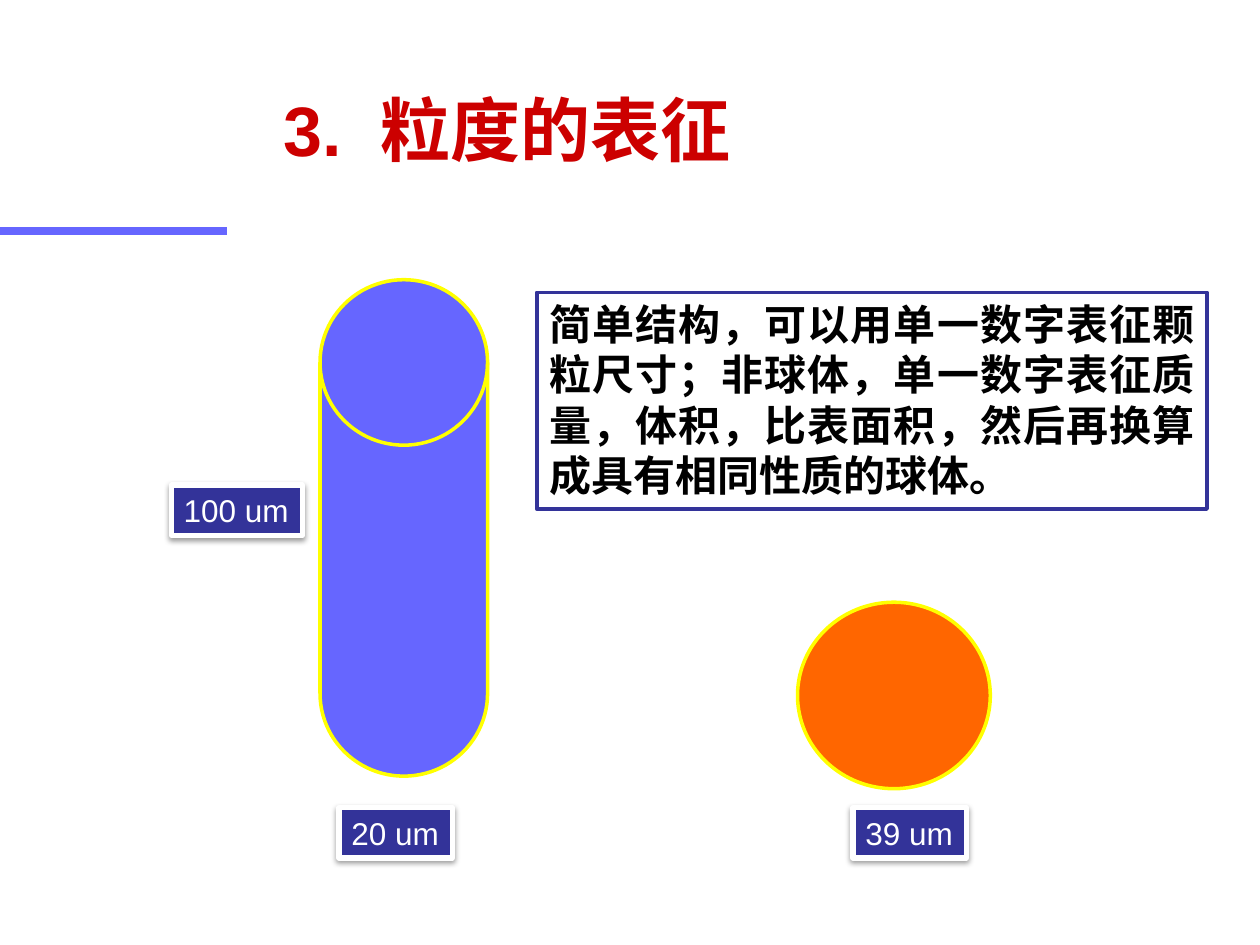
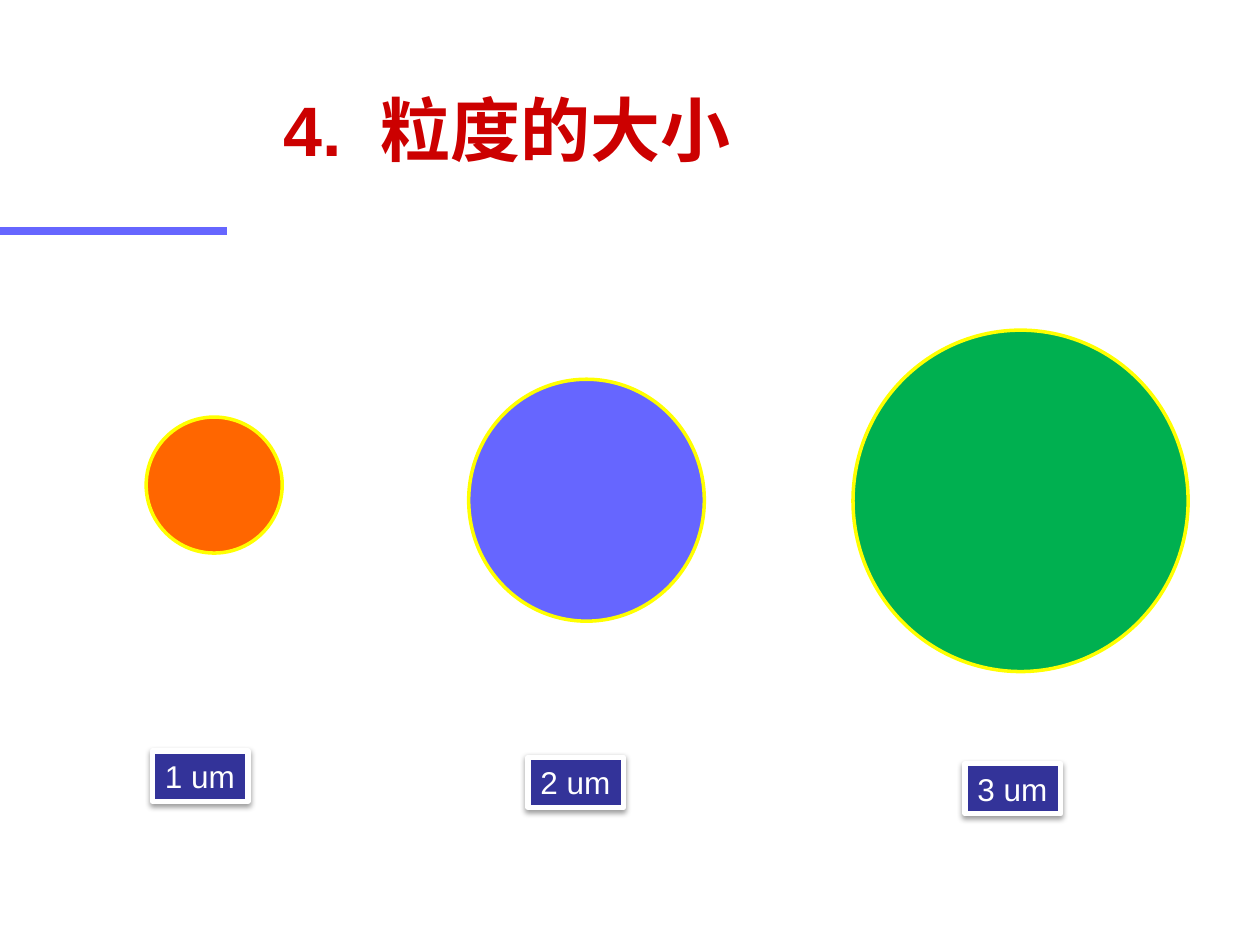
import pptx
import pptx.dml.color
import pptx.enum.shapes
import pptx.enum.text
import pptx.oxml
import pptx.oxml.ns
import pptx.util

SHAPE = pptx.enum.shapes.MSO_SHAPE
ALIGN = pptx.enum.text.PP_ALIGN
ANCHOR = pptx.enum.text.MSO_ANCHOR
AUTO_SIZE = pptx.enum.text.MSO_AUTO_SIZE

COLUMNS, ROWS = 100, 75
CELL = pptx.util.Inches(0.1)
COLORS = {
    "white": "FFFFFF", "black": "000000", "title": "CC0000", "navy": "333399",
    "violet": "6666FF", "orange": "FF6600", "green": "00B050", "yellow": "FFFF00",
}
TITLE_FONT = {"name": "Arial", "size": pptx.util.Pt(40), "bold": True}
LABEL_FONT = {"name": "Arial", "size": pptx.util.Pt(18), "bold": False}
BODY_FONT = {"name": "Arial", "size": pptx.util.Pt(24), "bold": True}
LABEL_HEIGHT = 4
SHADOW = (
    '<a:outerShdw xmlns:a="http://schemas.openxmlformats.org/drawingml/2006/main" '
    'blurRad="40000" dist="20000" dir="5400000" rotWithShape="0">'
    '<a:srgbClr val="000000"><a:alpha val="38000"/></a:srgbClr></a:outerShdw>'
)


def color(name):
    return pptx.dml.color.RGBColor.from_string(COLORS[name])


def cells(*counts):
    """Turn counts of grid cells into lengths."""
    return [round(count * CELL) for count in counts]


def set_format(target, values):
    for name, value in values.items():
        setattr(target, name, value)


def write(paragraph, text, font, color_name):
    run = paragraph.add_run()
    run.text = text
    set_format(run.font, font)
    run.font.color.rgb = color(color_name)
    return run


def add_figure(slide, preset, box, fill, line="yellow", line_width=2):
    shape = slide.shapes.add_shape(preset, *cells(*box))
    shape.shadow.inherit = False
    shape.fill.solid()
    shape.fill.fore_color.rgb = color(fill)
    shape.line.color.rgb = color(line)
    shape.line.width = pptx.util.Pt(line_width)
    return shape


def add_label(slide, text, left, top, width):
    shape = add_figure(slide, SHAPE.RECTANGLE, (left, top, width, LABEL_HEIGHT),
                       "navy", "white", 3)
    effects = shape.element.spPr.find(pptx.oxml.ns.qn("a:effectLst"))
    effects.append(pptx.oxml.parse_xml(SHADOW))
    set_format(shape.text_frame, {"word_wrap": False, "vertical_anchor": ANCHOR.TOP,
                                  "auto_size": AUTO_SIZE.SHAPE_TO_FIT_TEXT})
    paragraph = shape.text_frame.paragraphs[0]
    paragraph.alignment = ALIGN.LEFT
    write(paragraph, text, LABEL_FONT, "white")


def add_statement(slide, text, box):
    shape = add_figure(slide, SHAPE.RECTANGLE, box, "white", "navy")
    set_format(shape.text_frame, {"word_wrap": True, "vertical_anchor": ANCHOR.TOP,
                                  "auto_size": AUTO_SIZE.SHAPE_TO_FIT_TEXT})
    paragraph = shape.text_frame.paragraphs[0]
    paragraph.alignment = ALIGN.JUSTIFY
    write(paragraph, text, BODY_FONT, "black")


def add_rule(slide):
    left, top, right = cells(0, 18.3, 18)
    rule = slide.shapes.add_connector(
        pptx.enum.shapes.MSO_CONNECTOR.STRAIGHT, left, top, right, top)
    rule.line.color.rgb = color("violet")
    rule.line.width = pptx.util.Pt(4.5)
    properties = rule.element.spPr
    properties.append(properties.makeelement(pptx.oxml.ns.qn("a:effectLst"), {}))


def add_titled_slide(presentation, number, heading):
    slide = presentation.slides.add_slide(presentation.slide_layouts[5])
    add_rule(slide)
    title = slide.shapes.title
    set_format(title, dict(zip(("left", "top", "width", "height"),
                               cells(21.5, 7.6, 62.8, 6.4))))
    set_format(title.text_frame, {"word_wrap": True, "vertical_anchor": ANCHOR.BOTTOM,
                                  "auto_size": AUTO_SIZE.NONE})
    paragraph = title.text_frame.paragraphs[0]
    paragraph.alignment = ALIGN.LEFT
    write(paragraph, number, TITLE_FONT, "title")
    gap = write(paragraph, " ", TITLE_FONT, "title")
    gap.font._element.set("spc", "1100")  # widens the gap after the number
    write(paragraph, heading, TITLE_FONT, "title")
    return slide


def build_characterization(presentation):
    slide = add_titled_slide(presentation, "3.", "粒度的表征")
    add_figure(slide, SHAPE.FLOWCHART_MAGNETIC_DISK, (25.4, 22.2, 13.3, 39.4), "violet")
    add_figure(slide, SHAPE.FLOWCHART_CONNECTOR, (63.3, 47.8, 15.3, 14.8), "orange")
    for text, left, top, width in (("20 um", 26.9, 64.1, 9),
                                   ("100 um", 13.6, 38.5, 10.4),
                                   ("39 um", 67.7, 64.1, 9)):
        add_label(slide, text, left, top, width)
    add_statement(slide, "简单结构，可以用单一数字表征颗粒尺寸；非球体，单一数字表征质量，"
                         "体积，比表面积，然后再换算成具有相同性质的球体。",
                  (42.6, 23.2, 53.2, 17.2))


def build_sizes(presentation):
    slide = add_titled_slide(presentation, "4.", "粒度的大小")
    particles = (
        ("orange", (11.6, 33.1, 10.8, 10.8), 12.1),
        ("violet", (37.2, 30.1, 18.7, 19.2), 41.9),
        ("green", (67.7, 26.2, 26.6, 27.1), 76.6),
    )
    for index, (fill, box, label_left) in enumerate(particles):
        add_figure(slide, SHAPE.FLOWCHART_CONNECTOR, box, fill)
        add_label(slide, f"{index + 1} um", label_left, 59.6 + 0.5 * index, 7.6)


def main():
    presentation = pptx.Presentation()
    presentation.slide_width, presentation.slide_height = cells(COLUMNS, ROWS)
    build_characterization(presentation)
    build_sizes(presentation)
    presentation.save("out.pptx")


if __name__ == "__main__":
    main()
